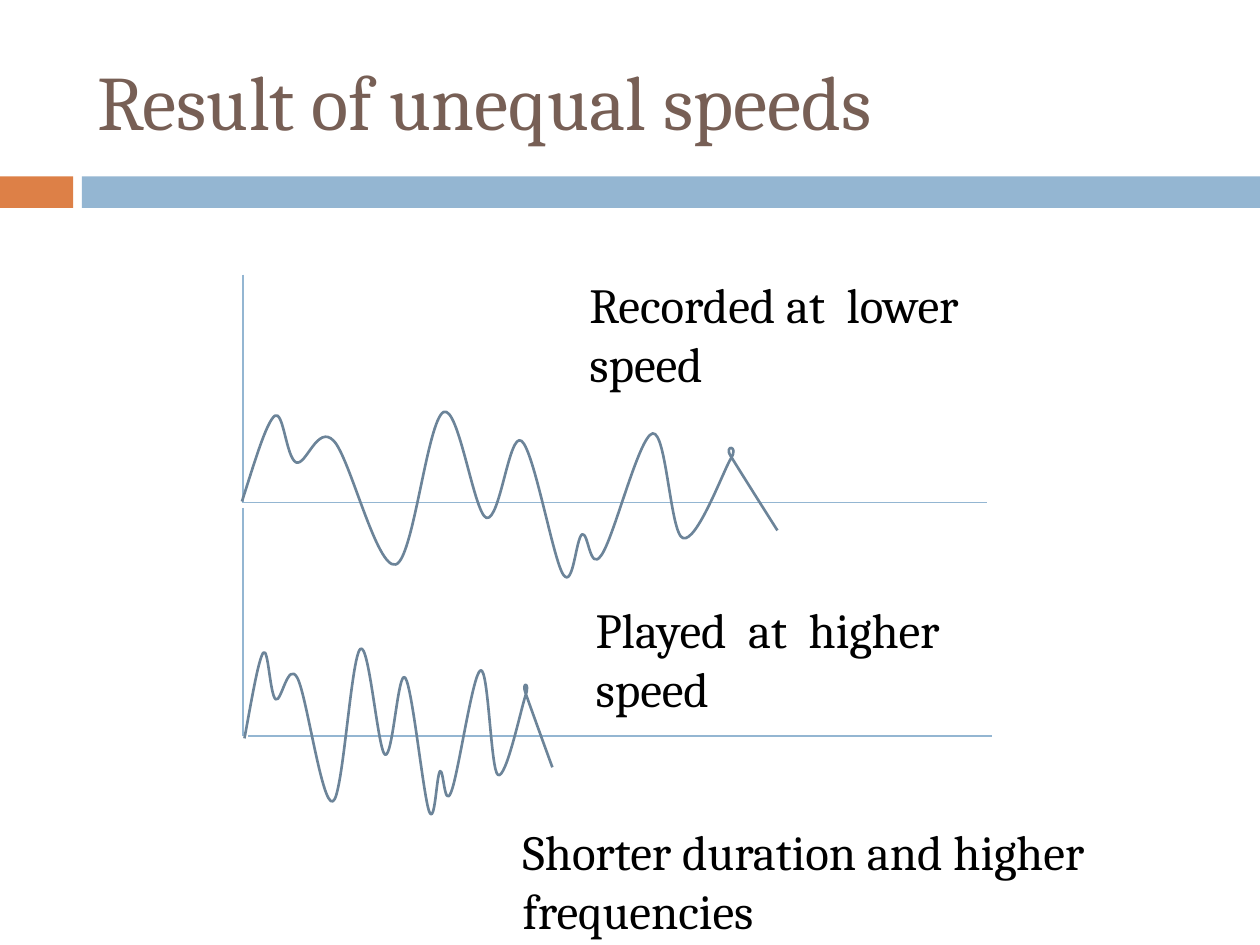
from lxml import etree
from pptx import Presentation
from pptx.dml.color import RGBColor
from pptx.enum.shapes import MSO_CONNECTOR, MSO_SHAPE
from pptx.enum.text import MSO_ANCHOR, MSO_AUTO_SIZE, PP_ALIGN
from pptx.oxml.ns import qn
from pptx.util import Inches, Pt

COLORS = {"orange": "DD8047", "blue": "94B6D2", "title": "775F55",
          "wave": "6C8499", "text": "000000"}
FONT = "Cambria"

# Recorded wave: start point, then (control, control, end) of each curve
WAVE_START = (1.92, 3.98)
WAVE_CURVES = [
    ((2.02, 3.67), (2.11, 3.36), (2.18, 3.3)),
    ((2.25, 3.25), (2.27, 3.63), (2.35, 3.67)),
    ((2.43, 3.7), (2.52, 3.36), (2.65, 3.5)),
    ((2.78, 3.64), (2.99, 4.52), (3.14, 4.48)),
    ((3.28, 4.45), (3.39, 3.34), (3.52, 3.27)),
    ((3.64, 3.21), (3.76, 4.07), (3.86, 4.11)),
    ((3.97, 4.14), (4.04, 3.42), (4.14, 3.5)),
    ((4.24, 3.58), (4.39, 4.44), (4.47, 4.56)),
    ((4.55, 4.68), (4.57, 4.27), (4.62, 4.24)),
    ((4.67, 4.22), (4.68, 4.54), (4.77, 4.41)),
    ((4.87, 4.28), (5.07, 3.46), (5.18, 3.44)),
    ((5.29, 3.42), (5.32, 4.24), (5.42, 4.27)),
    ((5.53, 4.31), (5.74, 3.74), (5.8, 3.64)),
    ((5.87, 3.53), (5.74, 3.53), (5.8, 3.62)),
    ((5.86, 3.72), (6.17, 4.21), (6.17, 4.21)),
]


def rgb(name):
    return RGBColor.from_string(COLORS[name])


def add_wave(s, left, drop, stretch):
    """Draw the recorded wave from left, lowered by drop, with its time axis scaled."""
    def place(point):
        x, y = point
        return Inches(left + (x - WAVE_START[0]) * stretch), Inches(y + drop)

    builder = s.shapes.build_freeform(*place(WAVE_START))
    builder.add_line_segments([place(c[-1]) for c in WAVE_CURVES], close=False)
    sp = builder.convert_to_shape()
    # Turn each straight segment into a cubic curve
    segments = list(sp._element.iter(qn("a:lnTo")))
    for segment, curve in zip(segments, WAVE_CURVES):
        segment.tag = qn("a:cubicBezTo")
        for i, point in enumerate(curve[:2]):
            x, y = place(point)
            pt = etree.Element(qn("a:pt"), x=str(x - sp.left), y=str(y - sp.top))
            segment.insert(i, pt)
    sp.shadow.inherit = False
    sp.fill.background()
    sp.line.color.rgb = rgb("wave")
    sp.line.width = Pt(1.5)


prs = Presentation()
prs.slide_width, prs.slide_height = Inches(10), Inches(7.5)
s = prs.slides.add_slide(prs.slide_layouts[5])

# Band under the title
for left, width, color in [(0, 0.58, "orange"), (0.65, 9.35, "blue")]:
    sp = s.shapes.add_shape(MSO_SHAPE.RECTANGLE, Inches(left), Inches(1.4),
                            Inches(width), Inches(0.25))
    sp.shadow.inherit = False
    sp.fill.solid()
    sp.fill.fore_color.rgb = rgb(color)
    sp.line.fill.background()

title = s.shapes.title
title.left, title.top = Inches(0.67), Inches(0.25)
title.width, title.height = Inches(8.92), Inches(1.08)
tf = title.text_frame
tf.text = "Result of unequal speeds"
tf.vertical_anchor = MSO_ANCHOR.MIDDLE
p = tf.paragraphs[0]
p.alignment = PP_ALIGN.LEFT
font = p.runs[0].font
font.name, font.size = FONT, Pt(44)
font.color.rgb = rgb("title")

# Axes of both graphs
for x1, y1, x2, y2 in [(1.93, 2.18, 1.93, 3.99), (1.93, 3.99, 7.83, 3.99),
                       (1.93, 4.03, 1.93, 5.84), (1.97, 5.84, 7.87, 5.84)]:
    axis = s.shapes.add_connector(MSO_CONNECTOR.STRAIGHT, Inches(x1), Inches(y1),
                                  Inches(x2), Inches(y2))
    axis.line.color.rgb = rgb("blue")
    axis.line.width = Pt(0.79)
    etree.SubElement(axis._element.spPr, qn("a:effectLst"))

add_wave(s, left=1.92, drop=0, stretch=1)
add_wave(s, left=1.94, drop=1.88, stretch=0.575)

captions = [
    ("Recorded at  lower speed", 4.58, 2.13, 3.46),
    ("Played  at  higher  speed", 4.63, 4.71, 3.46),
    ("Shorter duration and higher frequencies", 4.05, 6.47, 5.01),
]
for text, left, top, width in captions:
    box = s.shapes.add_textbox(Inches(left), Inches(top), Inches(width), Inches(1.04))
    tf = box.text_frame
    tf.word_wrap = True
    tf.auto_size = MSO_AUTO_SIZE.SHAPE_TO_FIT_TEXT
    tf.text = text
    font = tf.paragraphs[0].runs[0].font
    font.name, font.size = FONT, Pt(28)
    font.color.rgb = rgb("text")

prs.save("out.pptx")
